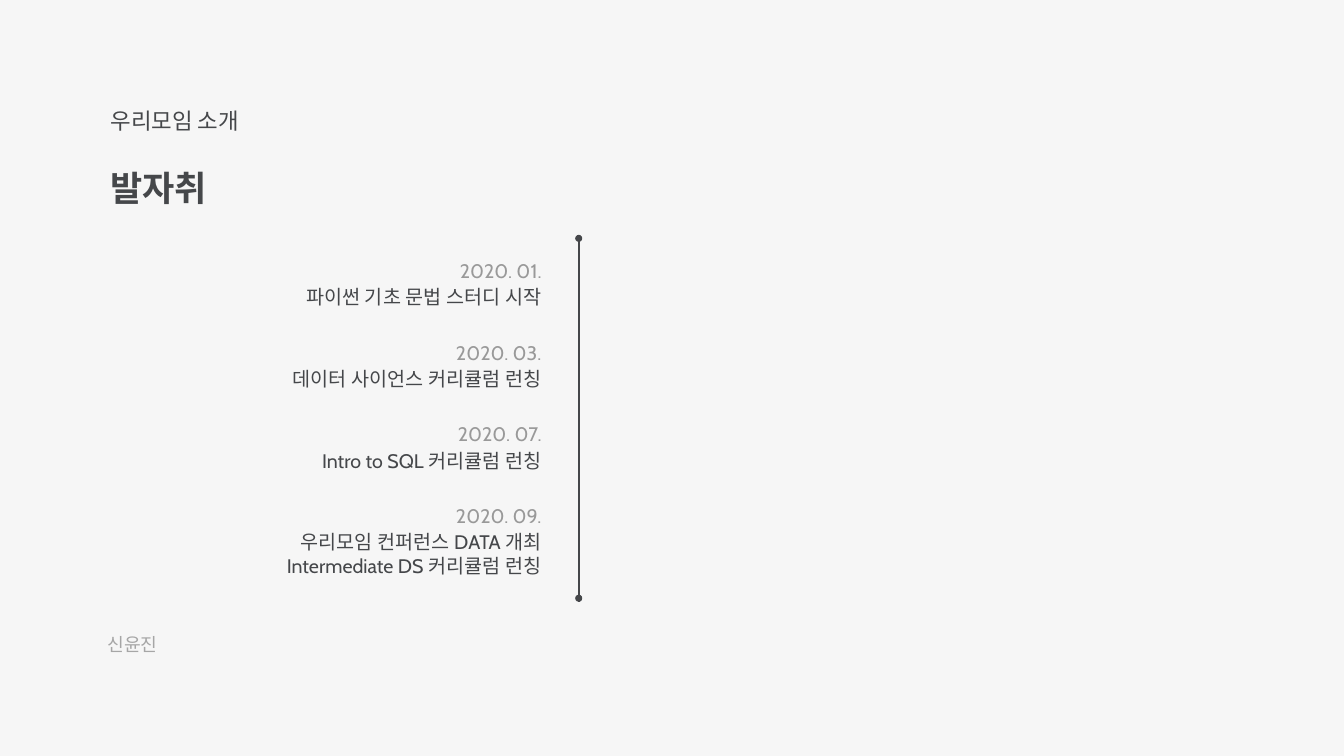
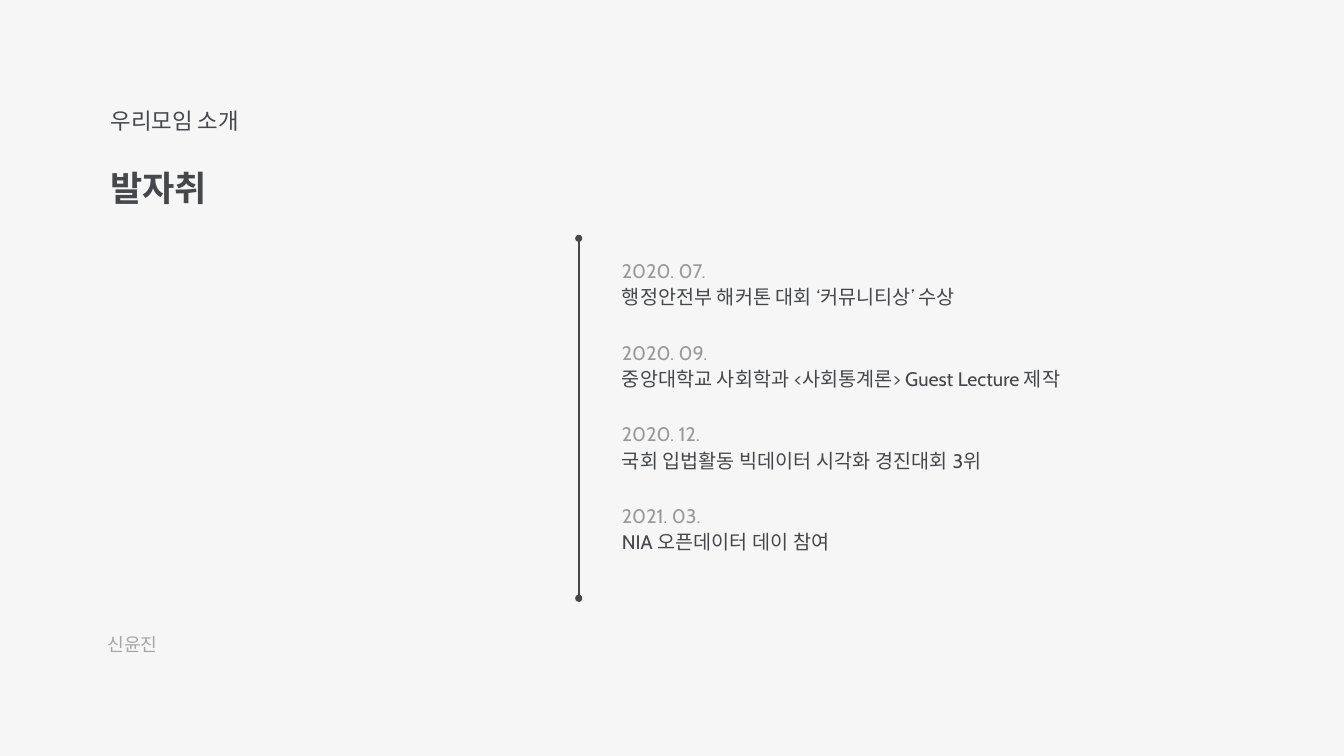
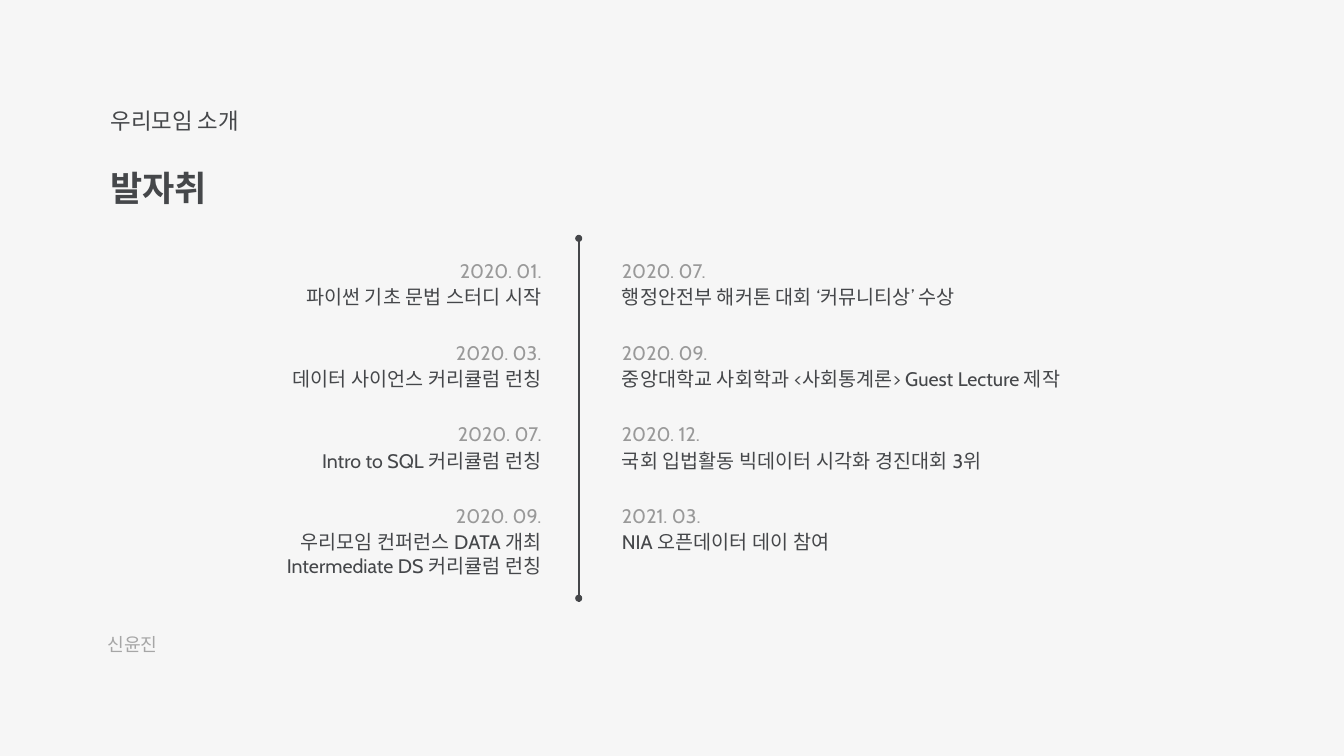
from lxml.etree import SubElement
from pptx import Presentation
from pptx.dml.color import RGBColor
from pptx.enum.shapes import MSO_CONNECTOR, MSO_SHAPE
from pptx.enum.text import MSO_AUTO_SIZE, PP_ALIGN
from pptx.oxml.ns import qn
from pptx.util import Inches, Pt

FONT = "Cabin"
PAPER, INK, DATE, FOOT = "F6F6F6", "45474A", "999999", "A6A6A6"

# Timeline geometry, in inches
AXIS, TOP, END, DOT = 5.74, 2.33, 5.97, 0.07
FIRST, STEP, DROP = 2.52, 0.81, 0.26

LEFT = [
    ("2020. 01.", "파이썬 기초 문법 스터디 시작"),
    ("2020. 03.", "데이터 사이언스 커리큘럼 런칭"),
    ("2020. 07.", "Intro to SQL 커리큘럼 런칭"),
    ("2020. 09.", "우리모임 컨퍼런스 DATA 개최\nIntermediate DS 커리큘럼 런칭"),
]
RIGHT = [
    ("2020. 07.", "행정안전부 해커톤 대회 ‘커뮤니티상’ 수상"),
    ("2020. 09.", "중앙대학교 사회학과 <사회통계론> Guest Lecture 제작"),
    ("2020. 12.", "국회 입법활동 빅데이터 시각화 경진대회 3위"),
    ("2021. 03.", "NIA 오픈데이터 데이 참여"),
]
# Entries, left edge, width, alignment
PAST = (LEFT, 2.41, 3.06, PP_ALIGN.RIGHT)
NEXT = (RIGHT, 6.07, 4.91, PP_ALIGN.LEFT)


def color(code):
    return RGBColor.from_string(code)


def write(slide, text, box, size, code, bold=False, align=PP_ALIGN.LEFT):
    """Add a text box; each line of the text becomes a paragraph."""
    frame = slide.shapes.add_textbox(*map(Inches, box)).text_frame
    frame.word_wrap = True
    frame.auto_size = MSO_AUTO_SIZE.SHAPE_TO_FIT_TEXT
    frame.text = text
    for para in frame.paragraphs:
        para.alignment = align
        for run in para.runs:
            font = run.font
            font.size, font.bold, font.name = Pt(size), bold, FONT
            font.color.rgb = color(code)
            # Hangul takes its line height from the East Asian font
            SubElement(run._r.get_or_add_rPr(), qn("a:ea"), typeface=FONT)


deck = Presentation()
deck.slide_width, deck.slide_height = Inches(13.33), Inches(7.5)
fill = deck.slide_master.background.fill
fill.solid()
fill.fore_color.rgb = color(PAPER)
blank = deck.slide_layouts[6]

for sides in ([PAST], [NEXT], [PAST, NEXT]):
    slide = deck.slides.add_slide(blank)
    write(slide, "우리모임 소개", (1, 1.01, 1.93, 0.37), 16, INK)
    write(slide, "발자취", (1, 1.6, 2.94, 0.52), 25, INK, bold=True)
    write(slide, "신윤진", (0.97, 6.23, 1, 0.32), 13, FOOT)

    axis = slide.shapes.add_connector(
        MSO_CONNECTOR.STRAIGHT,
        Inches(AXIS), Inches(TOP), Inches(AXIS), Inches(END))
    axis.line.color.rgb = color(INK)
    axis.line.width = Pt(1.5)
    SubElement(axis._element.spPr, qn("a:effectLst"))
    for y in (TOP, END - DOT):
        dot = slide.shapes.add_shape(
            MSO_SHAPE.OVAL, Inches(AXIS - DOT / 2), Inches(y),
            Inches(DOT), Inches(DOT))
        dot.shadow.inherit = False
        dot.fill.solid()
        dot.fill.fore_color.rgb = color(INK)
        dot.line.fill.background()

    for items, x, width, align in sides:
        for i, (date, event) in enumerate(items):
            y = FIRST + i * STEP
            write(slide, date, (x, y, width, 0.34), 14, DATE, align=align)
            tall = 0.34 + 0.23 * event.count("\n")
            write(slide, event, (x, y + DROP, width, tall), 14, INK,
                  align=align)

deck.save("out.pptx")
